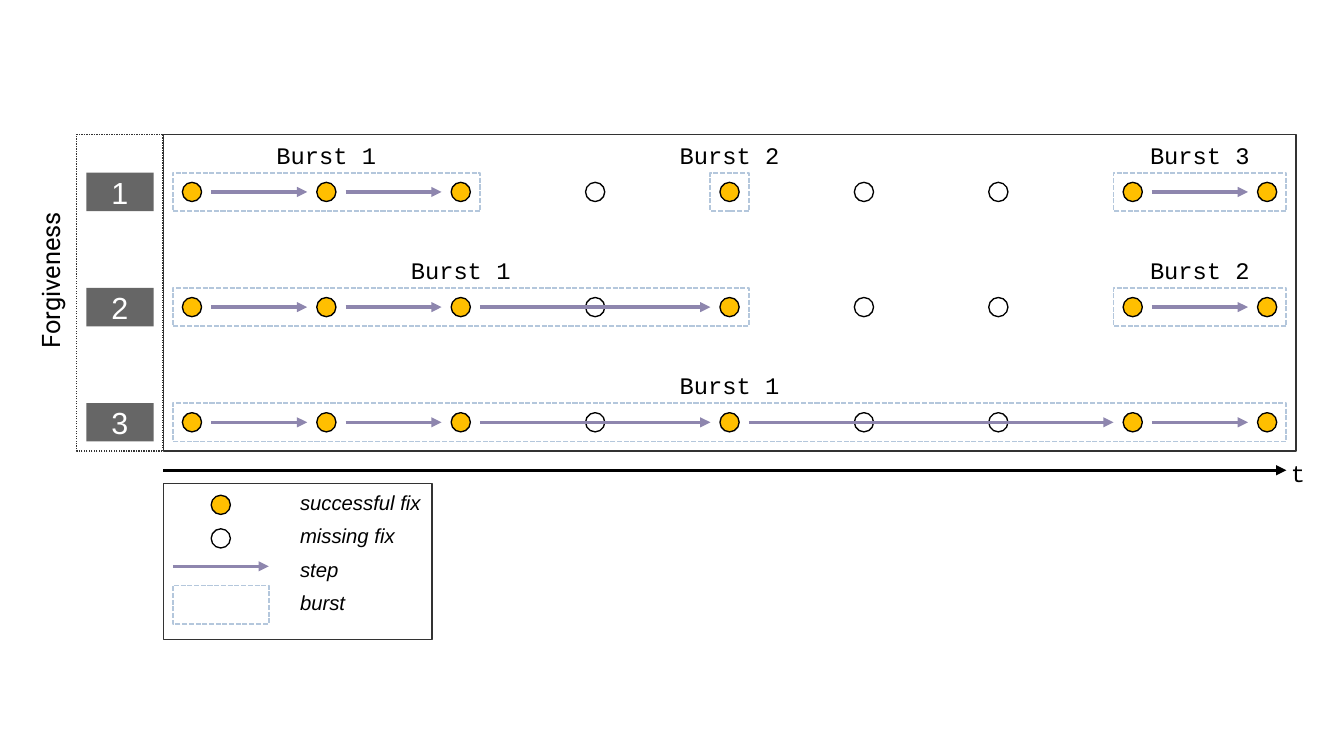
import pptx
import pptx.dml.color
import pptx.enum.dml
import pptx.enum.shapes
import pptx.enum.text
import pptx.oxml
import pptx.oxml.ns
import pptx.util
import lxml.etree

WIDTH, HEIGHT = 11.02, 6.2
UNIT = WIDTH / 70
FIX_GAP, ROW_GAP = 7, 6
FIXES = [True, True, True, False, True, False, False, True, True]
FORGIVENESS = [1, 2, 3]
COLORS = {
    "fix": "FFBF00",
    "burst": "B4C7DC",
    "step": "8E86AE",
    "frame": "333333",
    "badge": "666666",
    "black": "000000",
    "white": "FFFFFF",
}
SHAPES = pptx.enum.shapes.MSO_SHAPE
DASHES = pptx.enum.dml.MSO_LINE
ALIGN = pptx.enum.text.PP_ALIGN


def grid(*values):
    return [pptx.util.Inches(v * UNIT) for v in values]


def rgb(name):
    return pptx.dml.color.RGBColor.from_string(COLORS[name])


def add_shape(s, kind, box, fill=None, line=None, width=0, dash=None):
    sp = s.shapes.add_shape(kind, *grid(*box))
    sp.shadow.inherit = False
    if fill:
        sp.fill.solid()
        sp.fill.fore_color.rgb = rgb(fill)
    else:
        sp.fill.background()
    if line:
        sp.line.color.rgb = rgb(line)
        sp.line.width = pptx.util.Pt(width)
        if dash:
            sp.line.dash_style = dash
    else:
        sp.line.fill.background()
    return sp


def add_arrow(s, x1, x2, y, color):
    straight = pptx.enum.shapes.MSO_CONNECTOR.STRAIGHT
    line = s.shapes.add_connector(straight, *grid(x1, y, x2, y))
    line.line.color.rgb = rgb(color)
    line.line.width = pptx.util.Pt(0)
    tail = lxml.etree.SubElement(line.line._get_or_add_ln(), pptx.oxml.ns.qn("a:tailEnd"))
    tail.set("type", "triangle")
    lxml.etree.SubElement(line._element.spPr, pptx.oxml.ns.qn("a:effectLst"))


def write(sp, text, size, font, color="black", align=ALIGN.CENTER, italic=None,
          wrap=True, anchor=pptx.enum.text.MSO_ANCHOR.TOP):
    tf = sp.text_frame
    tf.text = text
    tf.word_wrap = wrap
    tf.vertical_anchor = anchor
    p = tf.paragraphs[0]
    p.alignment = align
    r = p.runs[0]
    r.font.size = pptx.util.Pt(size)
    r.font.name = font
    r.font.italic = italic
    r.font.color.rgb = rgb(color)


def add_text(s, box, text, size, font, **style):
    write(s.shapes.add_textbox(*grid(*box)), text, size, font, **style)


def add_fix(s, x, y, found):
    fill = "fix" if found else None
    add_shape(s, SHAPES.OVAL, (x - 0.5, y - 0.5, 1, 1), fill, "black", 0.79)


def add_burst(s, box):
    add_shape(s, SHAPES.RECTANGLE, box, None, "burst", 1, DASHES.SQUARE_DOT)


def split_bursts(forgiveness):
    found = [i for i, ok in enumerate(FIXES) if ok]
    bursts = [[found[0]]]
    for before, after in zip(found, found[1:]):
        if after - before <= forgiveness:
            bursts[-1].append(after)
        else:
            bursts.append([after])
    return bursts


def add_row(s, left, top, forgiveness):
    y = top + 3
    centers = [left + 1.5 + FIX_GAP * i for i in range(len(FIXES))]
    for x, found in zip(centers, FIXES):
        add_fix(s, x, y, found)
    for number, burst in enumerate(split_bursts(forgiveness), 1):
        xs = [centers[i] for i in burst]
        add_burst(s, (xs[0] - 1, y - 1, xs[-1] - xs[0] + 2, 2))
        middle = (xs[0] + xs[-1]) / 2
        add_text(s, (middle - 4.25, top, 8.5, 2), f"Burst {number}", 14, "Courier New")
        for x1, x2 in zip(xs, xs[1:]):
            add_arrow(s, x1 + 1, x2 - 1, y, "step")


def add_timeline(s, box):
    left, top, width, height = box
    for i, forgiveness in enumerate(FORGIVENESS):
        add_row(s, left, top + ROW_GAP * i, forgiveness)
    add_shape(s, SHAPES.RECTANGLE, box, None, "frame")
    axis = top + height + 1
    add_arrow(s, left, left + width - 0.5, axis, "black")
    add_text(s, (left + width - 0.9, axis - 0.9, 2, 2), "t", 14, "Courier New")


def add_forgiveness(s, box):
    left, top, width, height = box
    title = add_shape(s, SHAPES.RECTANGLE, (left - 6.2, top + 6.2, 10.2, 2.8), "white")
    title.rotation = 270
    write(title, "Forgiveness", 15, "Roboto")
    for i, forgiveness in enumerate(FORGIVENESS):
        badge = add_shape(s, SHAPES.RECTANGLE,
                          (left + 0.5, top + 2 + ROW_GAP * i, 3.5, 2), "badge")
        write(badge, str(forgiveness), 18, "Arial", "white", wrap=False,
              anchor=pptx.enum.text.MSO_ANCHOR.MIDDLE)
    add_shape(s, SHAPES.RECTANGLE, box, None, "frame", dash=DASHES.ROUND_DOT)


def add_legend(s, box):
    left, top, width, height = box
    add_shape(s, SHAPES.RECTANGLE, box, None, "frame")
    add_fix(s, left + 3, top + 1.1, True)
    add_fix(s, left + 3, top + 2.85, False)
    add_arrow(s, left + 0.5, left + 5.5, top + 4.3, "step")
    add_burst(s, (left + 0.5, top + 5.3, 5, 2))
    for i, label in enumerate(["successful fix", "missing fix", "step", "burst"]):
        add_text(s, (left + 6.5, top + 1.75 * i, 9.5, 1.85), label, 12, "Arial",
                 align=ALIGN.LEFT, italic=True)


def main():
    prs = pptx.Presentation()
    prs.slide_width = pptx.util.Inches(WIDTH)
    prs.slide_height = pptx.util.Inches(HEIGHT)
    s = prs.slides.add_slide(prs.slide_layouts[6])
    add_legend(s, (8.5, 25.2, 14, 8.1))
    add_forgiveness(s, (4, 7, 4.5, 16.5))
    add_timeline(s, (8.5, 7, 59, 16.5))
    prs.save("out.pptx")


if __name__ == "__main__":
    main()
